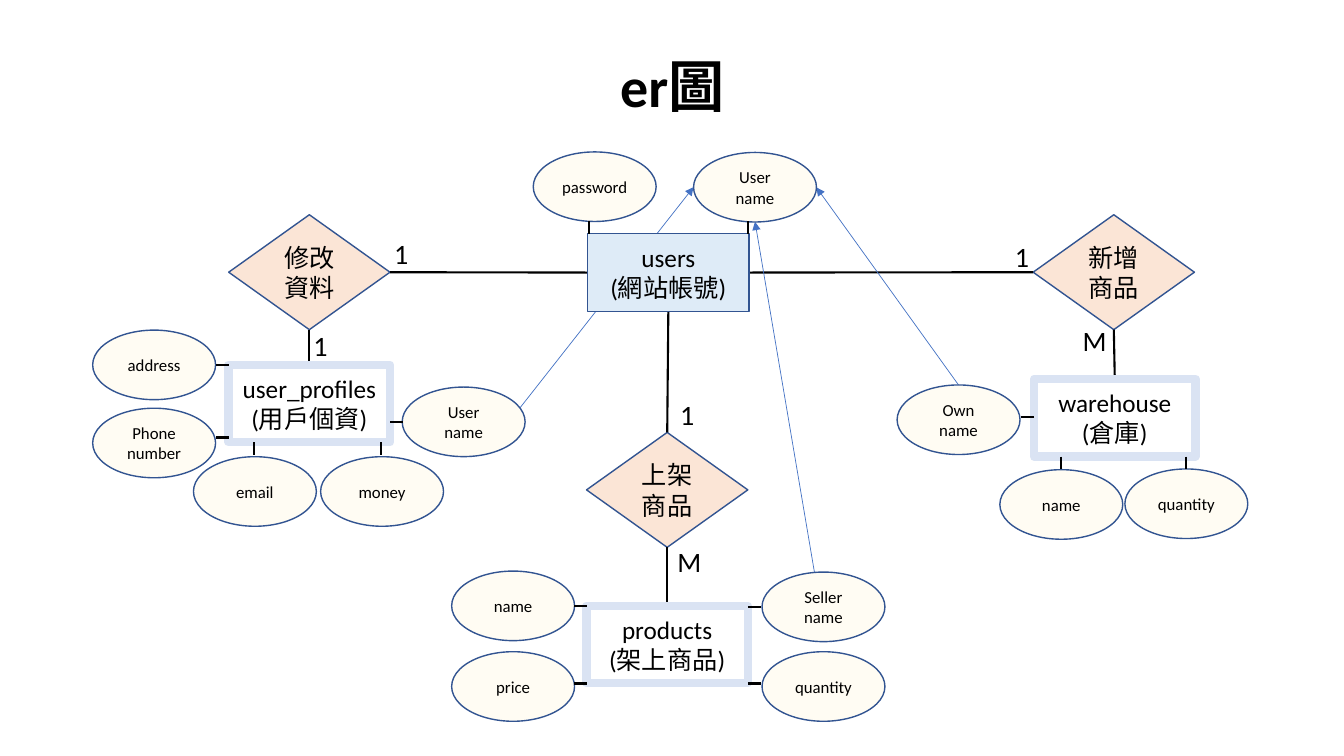
from pptx import Presentation
from pptx import util as u
from pptx.dml import color
from pptx.enum import shapes, text
from pptx.oxml import ns
from lxml import etree

# Content: all lengths in points
TITLE = ("er圖", (66.2, 11.5, 828, 104.4))

# Relations: label, left, top
RELS = {
    "add": ("新增商品", 738, 153.4),
    "list": ("上架商品", 419, 308.9),
    "edit": ("修改資料", 163.4, 153.4),
}

# Entities: label, left, top, then attributes as
# (label, left, top, side of the entity, tie position along that side)
ENTS = {
    "profile": ("user_profiles\n(用戶個資)", 163.4, 260.6, [
        ("User name", 287.3, 276.5, "R", 301.7),
        ("Phone number", 66.2, 291.6, "L", 312.5),
        ("address", 66.2, 235.8, "L", 260.6),
        ("money", 229, 326.2, "B", 272.2),
        ("email", 138.2, 326.2, "B", 181.4)]),
    "product": ("products\n(架上商品)", 419, 432.7, [
        ("quantity", 544.3, 465.5, "R", 488.2),
        ("Seller\nname", 544.3, 408.6, "R", 433.4),
        ("name", 322.6, 407.9, "L", 432.7),
        ("price", 322.6, 465.5, "L", 488.2)]),
    "store": ("warehouse\n(倉庫)", 738.7, 270.7, [
        ("Own\nname", 640.8, 275, "L", 298.1),
        ("quantity", 803.5, 335, "B", 847.4),
        ("name", 714.2, 335.5, "B", 758.2)]),
    "user": ("users\n(網站帳號)", 419.8, 167, [
        ("User name", 495.4, 108.9, "T", 534.2),
        ("password", 380.9, 108.5, "T", 420.5)]),
}

LINKS = [("user", "R", "add", "L"), ("user", "B", "list", "T"),
         ("list", "B", "product", "T"), ("user", "L", "edit", "R"),
         ("edit", "B", "profile", "T"), ("add", "B", "store", "T")]
ARROWS = [(362.2, 303.1, 495.4, 133.7), (589, 451.4, 539.3, 158.4),
          (684.7, 275, 583.2, 133.9)]

# Counts: label, centre, top
COUNTS = [("1", 286.6, 164.9), ("1", 229, 231.1), ("1", 730.1, 167),
          ("M", 781.9, 227.5), ("1", 491, 280.1), ("M", 492.5, 385.2)]

THEME = {
    "font": "Calibri", "ink": "000000", "edge": "325491", "ref": "4472C4",
    "rel": "FBE5D6", "attr": "FFFCF3", "user": "DEEBF7", "frame": "DAE3F3",
    "title": 40, "count": 20, "body": 18, "small": 12,
}
ENT, REL, ATTR = (115.2, 55.4), (115.2, 82.1), (87.8, 49.7)
TIE = 9.2
SIDES = {"L": (-1, 0), "R": (1, 0), "T": (0, -1), "B": (0, 1)}

deck = Presentation()
deck.slide_width, deck.slide_height = u.Pt(960), u.Pt(540)
slide = deck.slides.add_slide(deck.slide_layouts[6])
KIND = shapes.MSO_SHAPE


def rgb(key):
    return color.RGBColor.from_string(THEME[key])


def pts(nums):
    return [u.Pt(n) for n in nums]


def write(frame, label, size, bold=False):
    frame.text = label
    frame.vertical_anchor = text.MSO_ANCHOR.MIDDLE
    for para in frame.paragraphs:
        para.alignment = text.PP_ALIGN.CENTER
        font = para.font
        font.name, font.size, font.bold = THEME["font"], u.Pt(THEME[size]), bold
        font.color.rgb = rgb("ink")


def node(kind, box, label, size, fill, edge="edge", width=1):
    shape = slide.shapes.add_shape(kind, *pts(box))
    shape.shadow.inherit = False
    if fill:
        shape.fill.solid()
        shape.fill.fore_color.rgb = rgb(fill)
    else:
        shape.fill.background()
    shape.line.color.rgb, shape.line.width = rgb(edge), u.Pt(width)
    shape.text_frame.word_wrap = True
    write(shape.text_frame, label, size)


def line(ends, tone="ink", width=1.5, arrow=False):
    wire = slide.shapes.add_connector(shapes.MSO_CONNECTOR.STRAIGHT, *pts(ends))
    wire.line.color.rgb, wire.line.width = rgb(tone), u.Pt(width)
    if arrow:
        tip = etree.SubElement(wire.line._get_or_add_ln(), ns.qn("a:tailEnd"))
        tip.set("type", "triangle")
    etree.SubElement(wire._element.spPr, ns.qn("a:effectLst"))


def middle(box, side):
    left, top, wide, high = box
    dx, dy = SIDES[side]
    return left + wide * (1 + dx) / 2, top + high * (1 + dy) / 2


boxes = {key: (x, y, *REL) for key, (_, x, y) in RELS.items()}
boxes.update({key: (x, y, *ENT) for key, (_, x, y, _) in ENTS.items()})

# Relations, links and reference arrows
for key, (label, *_) in RELS.items():
    node(KIND.FLOWCHART_DECISION, boxes[key], label, "body", "rel")
for start, out, end, into in LINKS:
    line((*middle(boxes[start], out), *middle(boxes[end], into)))
for ends in ARROWS:
    line(ends, "ref", 0.5, True)

# Entities with their attributes and ties
for key, (label, _, _, attrs) in ENTS.items():
    style = ("user",) if key == "user" else (None, "frame", 6)
    node(KIND.RECTANGLE, boxes[key], label, "body", *style)
    for name, left, top, side, spot in attrs:
        node(KIND.OVAL, (left, top, *ATTR), name, "small", "attr")
        x, y = middle(boxes[key], side)
        dx, dy = SIDES[side]
        x, y = (x, spot) if dx else (spot, y)
        line((x, y, x + dx * TIE, y + dy * TIE))

# Counts
for label, mid, top in COUNTS:
    wide = 31.7 if label == "M" else 24.5
    box = slide.shapes.add_textbox(*pts((mid - wide / 2, top, wide, 31.5)))
    box.text_frame.word_wrap = False
    box.text_frame.auto_size = text.MSO_AUTO_SIZE.SHAPE_TO_FIT_TEXT
    write(box.text_frame, label, "count")

# Title
label, place = TITLE
head = slide.shapes.add_textbox(*pts(place)).text_frame
head.word_wrap = True
write(head, label, "title", True)
head.paragraphs[0].line_spacing = 0.9

deck.save("out.pptx")
